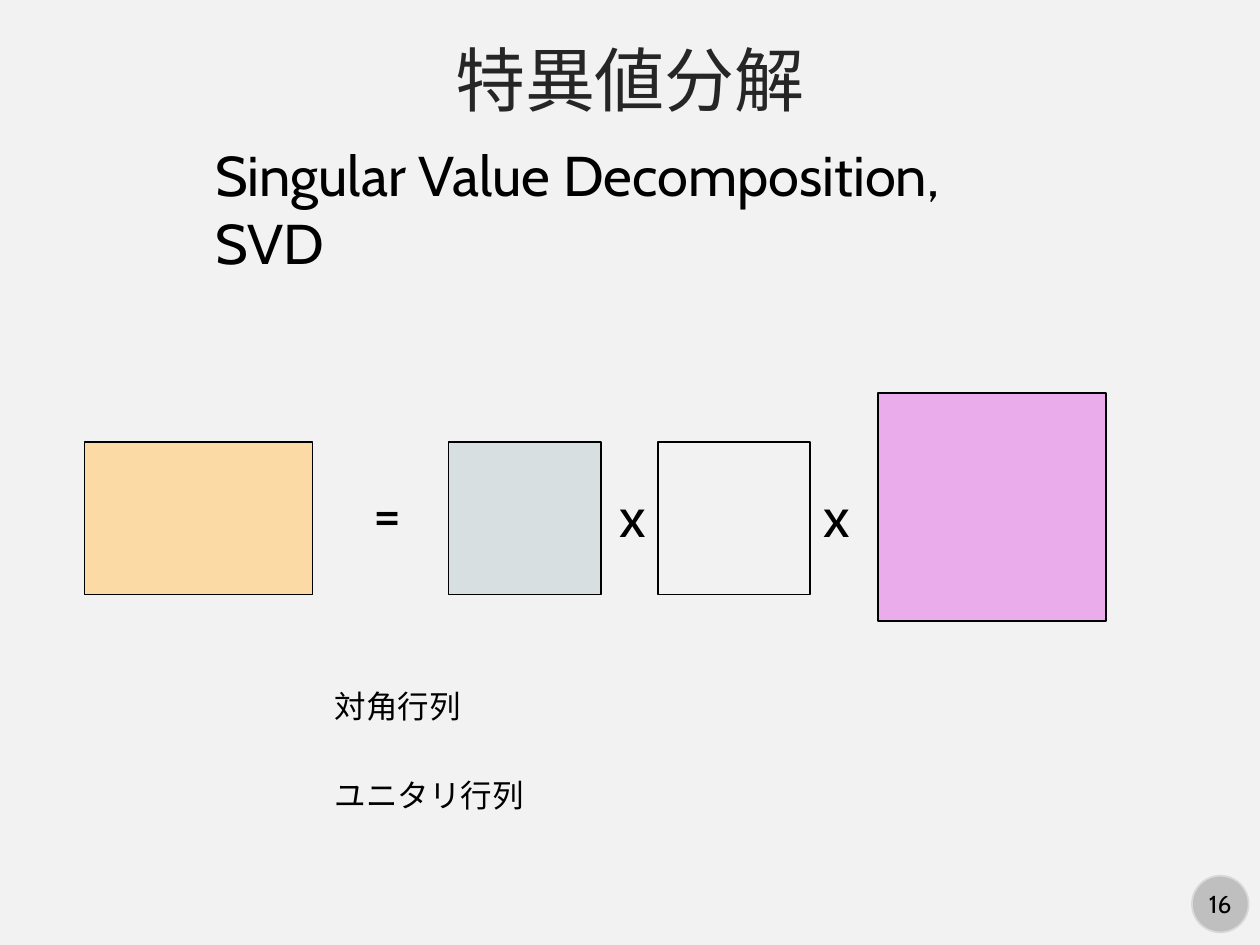
from pptx import Presentation
from pptx.dml.color import RGBColor
from pptx.enum.shapes import MSO_SHAPE
from pptx.enum.text import MSO_ANCHOR, PP_ALIGN
from pptx.util import Inches, Pt

RECTANGLE, OVAL = MSO_SHAPE.RECTANGLE, MSO_SHAPE.OVAL
LEFT, CENTER = PP_ALIGN.LEFT, PP_ALIGN.CENTER
TOP, MIDDLE = MSO_ANCHOR.TOP, MSO_ANCHOR.MIDDLE
TITLE_ONLY = 5
FONT = "Cabin"
COLORS = {
    "background": "F2F2F2",
    "title": "262626",
    "text": "000000",
    "source": "FBDAA5",
    "left": "D7DFE1",
    "right": "EBACEC",
    "badge": "BFBFBF",
    "badge_line": "D9D9D9",
}


def color(name):
    return RGBColor.from_string(COLORS[name])


def write_text(shape, text, size, color_name="text", alignment=LEFT, anchor=TOP, wrap=True):
    frame = shape.text_frame
    frame.word_wrap = wrap
    frame.vertical_anchor = anchor
    paragraph = frame.paragraphs[0]
    paragraph.text = text
    paragraph.alignment = alignment
    for attribute, value in {"name": FONT, "size": Pt(size)}.items():
        setattr(paragraph.font, attribute, value)
    paragraph.font.color.rgb = color(color_name)


def add_label(slide, box, text, size, **text_format):
    label = slide.shapes.add_textbox(*map(Inches, box))
    write_text(label, text, size, **text_format)


def add_outlined(slide, kind, box, fill=None, line="text"):
    shape = slide.shapes.add_shape(kind, *map(Inches, box))
    shape.shadow.inherit = False
    if fill:
        shape.fill.solid()
        shape.fill.fore_color.rgb = color(fill)
    else:
        shape.fill.background()
    shape.line.color.rgb = color(line)
    shape.line.width = Pt(1)


def add_heading(slide, left, top, width, height):
    title = slide.shapes.title
    box = {"left": left, "top": top, "width": width, "height": height}
    for attribute, value in box.items():
        setattr(title, attribute, Inches(value))
    write_text(title, "特異値分解", 40, color_name="title", alignment=CENTER, anchor=MIDDLE)
    add_label(slide, (left + 1.61, top + 0.86, 6.56, 0.64),
              "Singular Value Decomposition, SVD", 32)


def add_equation(slide, left, top):
    """Draw a matrix as the product of three factors, offset from the given corner."""
    short, long = 1.21, 1.81
    matrices = [
        (0, 0.39, long, short, "source"),
        (2.89, 0.39, short, short, "left"),
        (4.55, 0.39, short, short, None),
        (6.3, 0, long, long, "right"),
    ]
    for x, y, width, height, fill in matrices:
        add_outlined(slide, RECTANGLE, (left + x, top + y, width, height), fill)
    for x, y, symbol in [(2.2, 0.63, "="), (4.15, 0.65, "x"), (5.77, 0.65, "x")]:
        add_label(slide, (left + x, top + y, 0.43, 0.64), symbol, 32, wrap=False)


def add_matrix_names(slide, left, top):
    for row, name in enumerate(["対角行列", "ユニタリ行列"]):
        add_label(slide, (left, top + row * 0.71, 1.72, 0.4), name, 18, wrap=False)


def add_page_badge(slide, left, top, size):
    box = (left, top, size, size)
    add_outlined(slide, OVAL, box, "badge", "badge_line")
    add_label(slide, box, "16", 14, alignment=CENTER, anchor=MIDDLE, wrap=False)


def main():
    presentation = Presentation()
    presentation.slide_width = Inches(10)
    presentation.slide_height = Inches(7.5)
    slide = presentation.slides.add_slide(presentation.slide_layouts[TITLE_ONLY])
    slide.background.fill.solid()
    slide.background.fill.fore_color.rgb = color("background")
    add_page_badge(slide, 9.46, 6.95, 0.45)
    add_heading(slide, 0, 0.21, 10, 0.82)
    add_equation(slide, 0.67, 3.12)
    add_matrix_names(slide, 2.56, 5.4)
    presentation.save("out.pptx")


if __name__ == "__main__":
    main()
